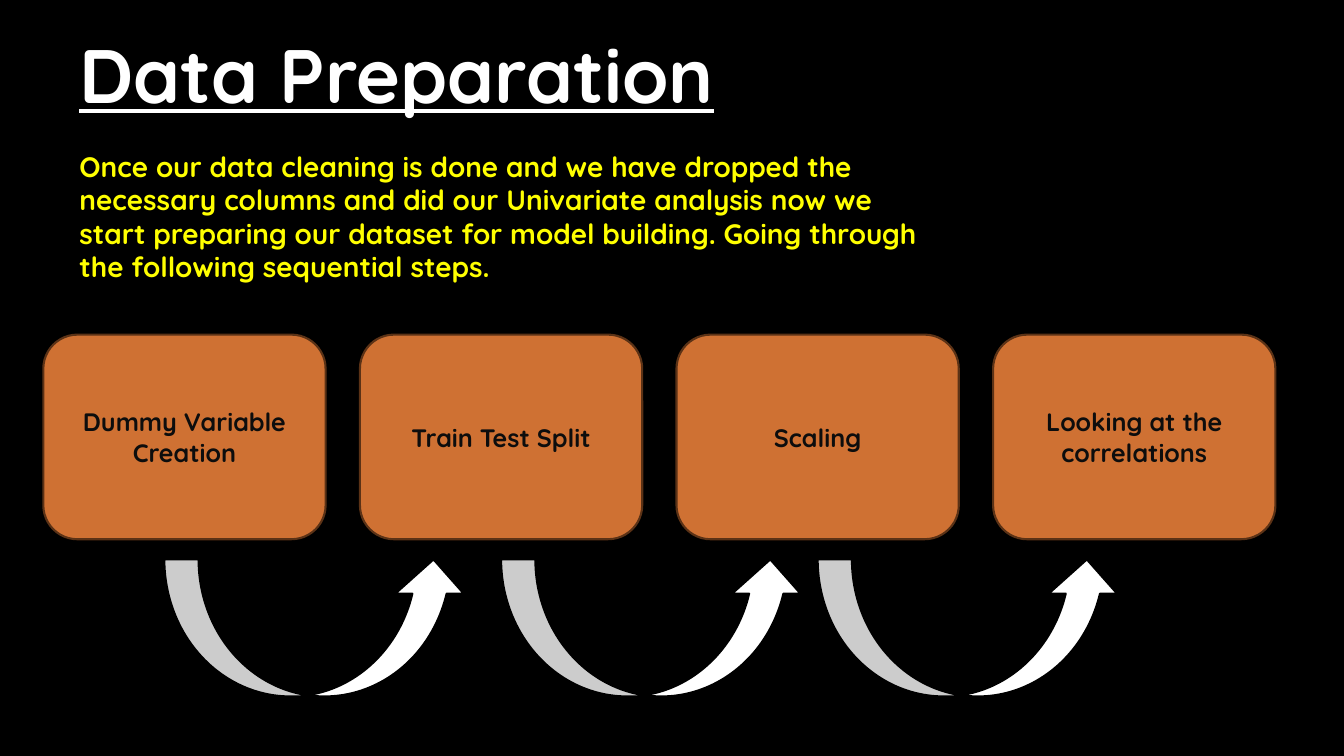
from pptx import Presentation
from pptx.dml.color import RGBColor
from pptx.enum import shapes, text
from pptx.util import Inches, Pt

HUES = {"back": "000000", "title": "FFFFFF", "intro": "FFFF00", "card": "CF7133",
        "edge": "5B3216", "label": "0D0D0D", "arrow": "FFFFFF"}
FONT = "Quicksand"
STEPS = ["Dummy Variable Creation", "Train Test Split", "Scaling",
         "Looking at the correlations"]
INTRO = ("Once our data cleaning is done and we have dropped the necessary columns "
         "and did our Univariate analysis now we start preparing our dataset for "
         "model building. Going through the following sequential steps.")


def write(shape, words, size, hue):
    shape.text_frame.word_wrap = True
    para = shape.text_frame.paragraphs[0]
    run = para.add_run()
    run.text = words
    run.font.name = FONT
    run.font.size = Pt(size)
    run.font.bold = True
    run.font.color.rgb = RGBColor.from_string(HUES[hue])
    return para


def draw(kind, box, fill, line):
    shape = slide.shapes.add_shape(kind, *map(Inches, box))
    shape.shadow.inherit = False
    shape.fill.solid()
    shape.fill.fore_color.rgb = RGBColor.from_string(HUES[fill])
    shape.line.color.rgb = RGBColor.from_string(HUES[line])
    shape.line.width = Pt(1.5)
    return shape


deck = Presentation()
deck.slide_width, deck.slide_height = Inches(13.33), Inches(7.5)
slide = deck.slides.add_slide(deck.slide_layouts[6])
slide.background.fill.solid()
slide.background.fill.fore_color.rgb = RGBColor.from_string(HUES["back"])

# Heading and introduction
title = slide.shapes.add_textbox(Inches(0.69), Inches(0.23), Inches(10.83), Inches(1.01))
write(title, "Data Preparation", 54, "title").runs[0].font.underline = True
intro = slide.shapes.add_textbox(Inches(0.69), Inches(1.43), Inches(8.57), Inches(1.45))
write(intro, INTRO, 20, "intro")

# Step cards, evenly spaced
for i, step in enumerate(STEPS):
    card = draw(shapes.MSO_SHAPE.FLOWCHART_ALTERNATE_PROCESS,
                (0.43 + 3.14 * i, 3.32, 2.8, 2.03), "card", "edge")
    card.text_frame.vertical_anchor = text.MSO_ANCHOR.MIDDLE
    write(card, step, 18, "label").alignment = text.PP_ALIGN.CENTER

# Arrows from each card to the next
for left in (1.63, 4.97, 8.11):
    draw(shapes.MSO_SHAPE.CURVED_UP_ARROW, (left, 5.55, 3.01, 1.36), "arrow", "back")

deck.save("out.pptx")
